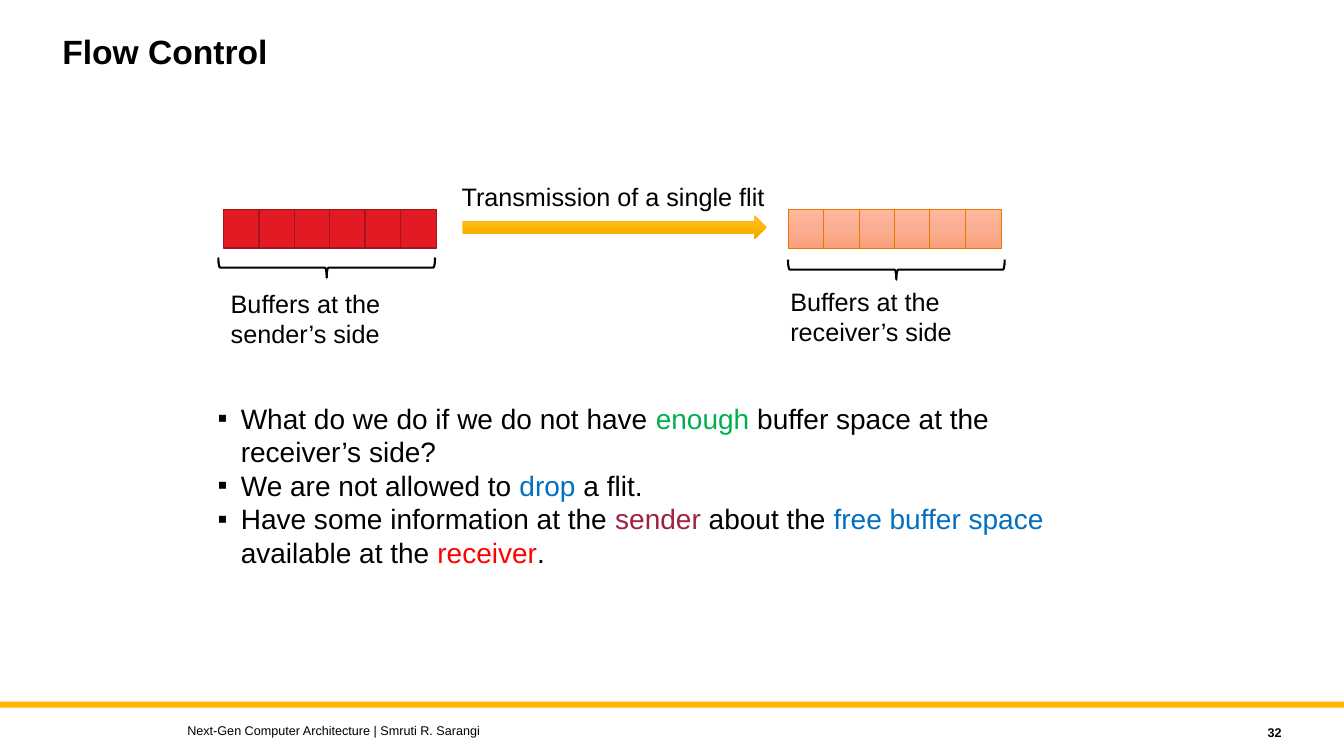
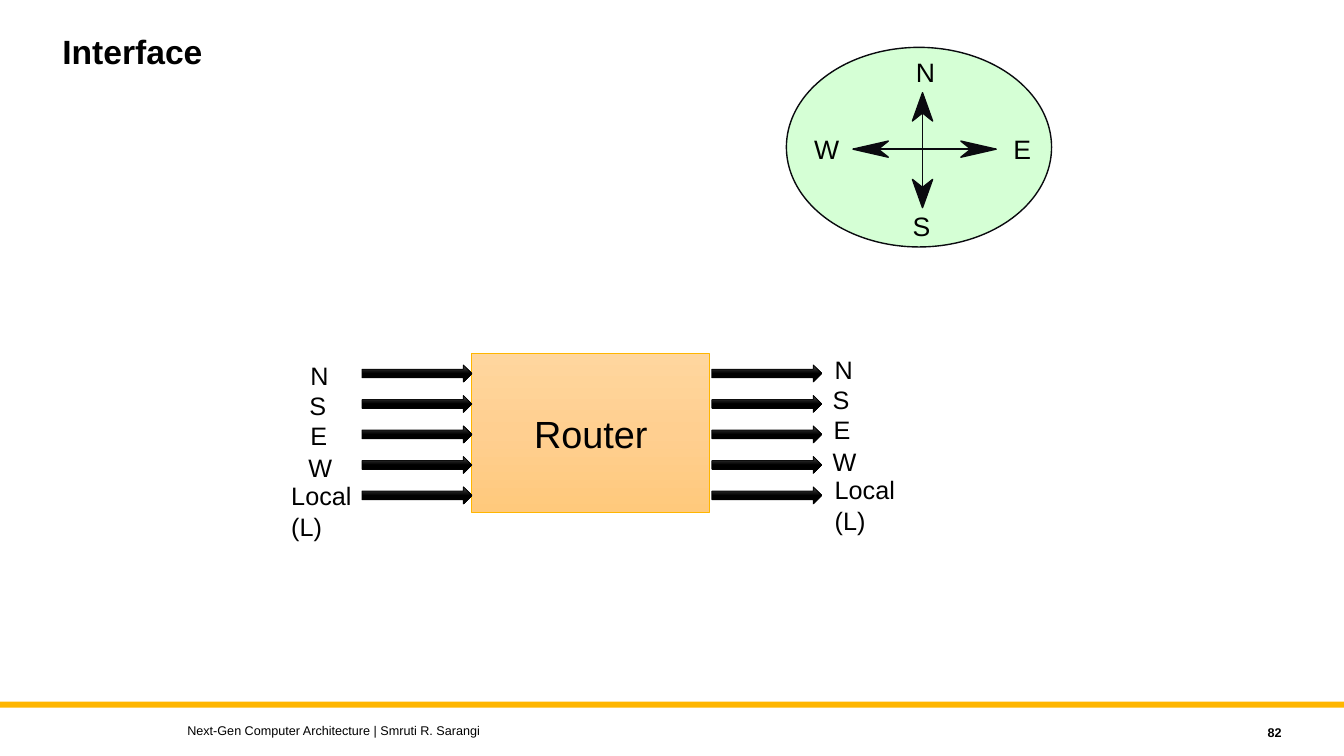
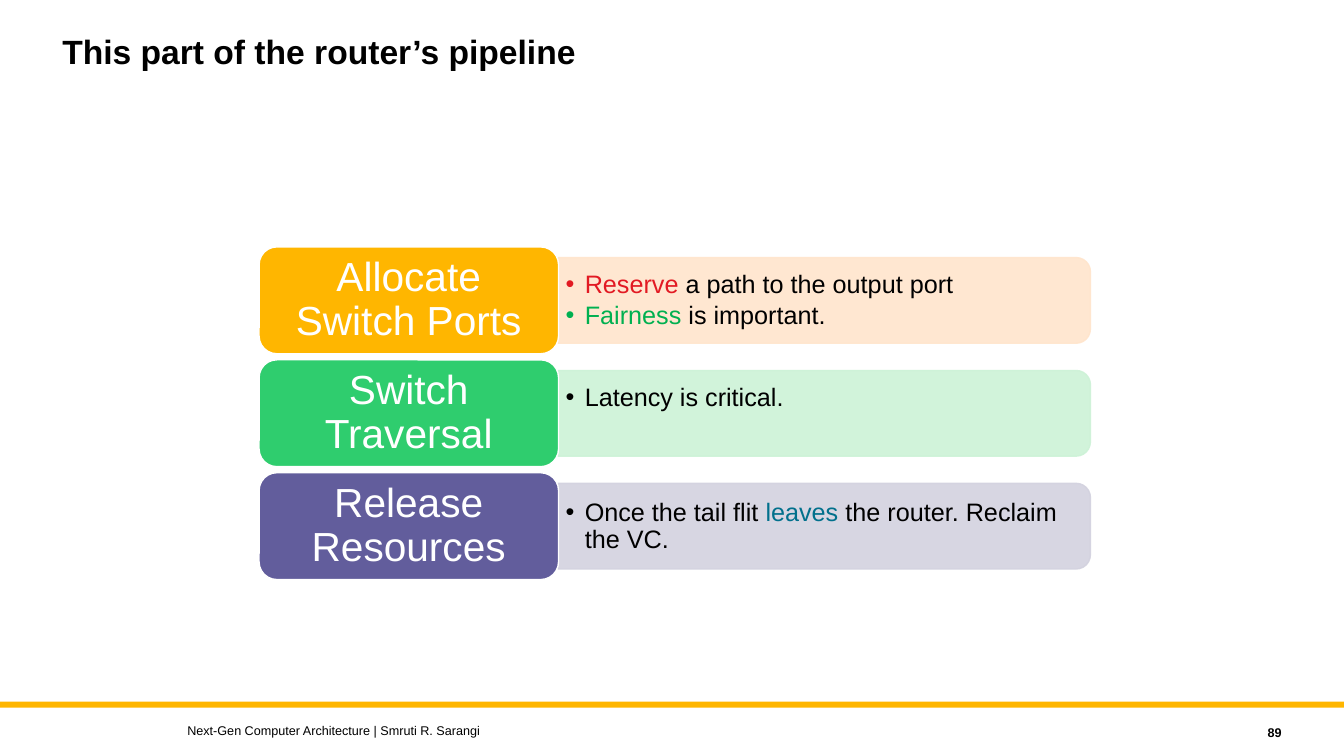
from lxml import etree
from pptx import Presentation
from pptx.dml.color import RGBColor
from pptx.enum.shapes import MSO_CONNECTOR, MSO_SHAPE
from pptx.enum.text import MSO_ANCHOR, PP_ALIGN
from pptx.oxml.ns import qn
from pptx.util import Inches, Pt

RECT, ELLIPSE = MSO_SHAPE.RECTANGLE, MSO_SHAPE.OVAL
ROUND_RECT, ROUND_TOP = MSO_SHAPE.ROUNDED_RECTANGLE, MSO_SHAPE.ROUND_2_SAME_RECTANGLE
ARROW, BRACE = MSO_SHAPE.RIGHT_ARROW, MSO_SHAPE.RIGHT_BRACE
STRAIGHT = MSO_CONNECTOR.STRAIGHT
LEFT, CENTER, RIGHT = PP_ALIGN.LEFT, PP_ALIGN.CENTER, PP_ALIGN.RIGHT
TOP, MIDDLE = MSO_ANCHOR.TOP, MSO_ANCHOR.MIDDLE

FONT = "Arial"
FOOTER = "Next-Gen Computer Architecture | Smruti R. Sarangi"
COLORS = {
    "black": "000000", "white": "FFFFFF", "ink": "0A0A0F", "gold": "FFB600",
    "red": "E21A23", "dark_red": "A7131A", "bright_red": "FF0000",
    "maroon": "9F2241", "green": "00B050", "blue": "0070C0", "teal": "01708C",
    "orange": "EC7700", "mint": "D5FFD5", "emerald": "2FCD6E",
    "purple": "625D9C", "pale_orange": "FFE5CC", "pale_green": "CDF2D7",
    "pale_purple": "D3D2DF",
}
GRADIENTS = {
    "salmon": ("FFB89D", "FAAD90", "F9A17C"),
    "gold": ("FFBD4B", "FFB600", "E3A200"),
    "peach": ("FFD69E", "FFCF90", "FFC97C"),
    "black": ("4B4B4B", "000000", "000000"),
}


def rgb(name):
    return RGBColor.from_string(COLORS[name])


def write_text(tf, paras, size=18, color="black", bold=False, align=LEFT,
               anchor=TOP, inset=(0.1, 0.05), wrap=True, bullet=None,
               indent=0, spacing=None, after=0):
    """Each paragraph is a string or a list of strings and (text, colour) pairs."""
    tf.word_wrap = wrap
    tf.vertical_anchor = anchor
    tf.margin_left = tf.margin_right = Inches(inset[0])
    tf.margin_top = tf.margin_bottom = Inches(inset[1])
    for i, para in enumerate(paras):
        p = tf.add_paragraph() if i else tf.paragraphs[0]
        p.alignment = align
        p.space_after = Pt(after)
        if spacing:
            p.line_spacing = spacing
        if bullet:
            pPr = p._p.get_or_add_pPr()
            pPr.set("marL", str(Inches(indent)))
            pPr.set("indent", str(-Inches(indent)))
            etree.SubElement(pPr, qn("a:buFont")).set("typeface", FONT)
            etree.SubElement(pPr, qn("a:buChar")).set("char", bullet)
        for part in [para] if isinstance(para, str) else para:
            text, name = (part, color) if isinstance(part, str) else part
            r = p.add_run()
            r.text = text
            r.font.name, r.font.size, r.font.bold = FONT, Pt(size), bold
            r.font.color.rgb = rgb(name)


class Deck:
    """Holds the shared style and the current slide."""

    def __init__(self):
        self.prs = Presentation()
        self.prs.slide_width, self.prs.slide_height = Inches(13.33), Inches(7.5)
        self.slide = None

    def new_slide(self, title, number):
        self.slide = self.prs.slides.add_slide(self.prs.slide_layouts[6])
        self.shape(RECT, 0, 6.96, 13.33, 0.06, fill="gold")
        self.text(0.52, 0.3, 10, 0.9, [title], size=24, bold=True, spacing=0.9)
        self.text(11.41, 7.14, 1.4, 0.25, [str(number)], size=9, bold=True,
                  align=RIGHT, anchor=MIDDLE)
        self.text(1.76, 7.12, 8, 0.25, [FOOTER], size=9, anchor=MIDDLE)

    def text(self, x, y, w, h, paras, **fmt):
        sp = self.slide.shapes.add_textbox(Inches(x), Inches(y), Inches(w), Inches(h))
        write_text(sp.text_frame, paras, **fmt)

    def paint(self, sp, fill=None, line=None, width=1.0, gradient=None):
        sp.shadow.inherit = False
        if gradient:
            sp.fill.gradient()
            sp.fill.gradient_angle = 270
            stops = sp._element.spPr.find(".//" + qn("a:gsLst"))
            for gs in list(stops):
                stops.remove(gs)
            for pos, color in zip((0, 50000, 100000), GRADIENTS[gradient]):
                gs = etree.SubElement(stops, qn("a:gs"), pos=str(pos))
                etree.SubElement(gs, qn("a:srgbClr"), val=color)
        elif fill:
            sp.fill.solid()
            sp.fill.fore_color.rgb = rgb(fill)
        else:
            sp.fill.background()
        if line:
            sp.line.color.rgb = rgb(line)
            sp.line.width = Pt(width)
        else:
            sp.line.fill.background()

    def shape(self, kind, x, y, w, h, rotation=0, alpha=None, **look):
        sp = self.slide.shapes.add_shape(kind, Inches(x), Inches(y), Inches(w), Inches(h))
        sp.rotation = rotation
        self.paint(sp, **look)
        if alpha:
            for clr in sp._element.spPr.iter(qn("a:srgbClr")):
                etree.SubElement(clr, qn("a:alpha"), val=str(alpha * 1000))
        return sp

    def line(self, x1, y1, x2, y2, color):
        cn = self.slide.shapes.add_connector(
            STRAIGHT, Inches(x1), Inches(y1), Inches(x2), Inches(y2))
        cn.line.color.rgb = rgb(color)
        cn.line.width = Pt(1)
        etree.SubElement(cn._element.spPr, qn("a:effectLst"))

    def arrowhead(self, x, y, dx, dy, length, half, notch):
        """Notched head with its tip at (x, y), pointing along (dx, dy)."""
        def at(back, side):
            return (Inches(x - dx * back - dy * side),
                    Inches(y - dy * back + dx * side))
        fb = self.slide.shapes.build_freeform(*at(0, 0), scale=1.0)
        fb.add_line_segments([at(length, half), at(notch, 0), at(length, -half)])
        self.paint(fb.convert_to_shape(), fill="ink", line="ink")

    def buffer(self, x, y, **look):
        for i in range(6):
            self.shape(RECT, x + 0.35 * i, y, 0.36, 0.38, **look)

    def brace(self, x, y):
        self.shape(BRACE, x, y, 0.2, 2.15, rotation=90, line="black", width=1.5)

    def port(self, x, y):
        self.shape(ARROW, x, y, 1.09, 0.17, gradient="black", line="black", width=0.5)

    def stage(self, y, name, color, pale, notes, notes_h=0.77):
        self.shape(ROUND_TOP, 7.75, y - 2.11, 0.85, 5.28, rotation=90, alpha=90,
                   fill=pale, line=pale)
        self.text(5.54, y + 0.15, 5.24, notes_h, notes, anchor=MIDDLE,
                  inset=(0.07, 0.04), bullet="•", indent=0.19, spacing=0.9, after=3)
        sp = self.shape(ROUND_RECT, 2.57, y, 2.97, 1.06, fill=color, line="white")
        write_text(sp.text_frame, [name], size=29, color="white", align=CENTER,
                   anchor=MIDDLE, inset=(0.12, 0.06), spacing=0.9)


def flow_control(deck):
    deck.new_slide("Flow Control", 32)

    # Buffers and the flit between them
    deck.buffer(2.22, 2.08, fill="red", line="dark_red")
    deck.buffer(7.82, 2.08, gradient="salmon", line="orange", width=0.5)
    deck.shape(ARROW, 4.59, 2.14, 3.01, 0.23, gradient="gold", line="gold", width=0.5)
    deck.text(4.48, 1.75, 3.24, 0.4, ["Transmission of a single flit"], wrap=False)
    deck.brace(3.14, 1.58)
    deck.brace(8.79, 1.6)
    deck.text(2.19, 2.81, 2.33, 0.71, ["Buffers at the sender’s side"])
    deck.text(7.74, 2.79, 2.33, 0.71, ["Buffers at the receiver’s side"])

    # Questions
    deck.text(2.06, 3.93, 8.59, 1.78, [
        ["What do we do if we do not have ", ("enough", "green"),
         " buffer space at the receiver’s side?"],
        ["We are not allowed to ", ("drop", "blue"), " a flit."],
        ["Have some information at the ", ("sender", "maroon"), " about the ",
         ("free buffer space ", "blue"), "available at the ",
         ("receiver", "bright_red"), "."],
    ], size=20, bullet="▪", indent=0.23)


def interface(deck):
    deck.new_slide("Interface", 82)

    # Compass
    deck.shape(ELLIPSE, 7.8, 0.47, 2.63, 1.98, fill="mint", line="ink")
    deck.line(9.15, 0.92, 9.15, 2.06, "ink")
    deck.line(8.46, 1.48, 9.88, 1.48, "ink")
    for y, dy in ((0.92, -1), (2.06, 1)):
        deck.arrowhead(9.15, y, 0, dy, length=0.28, half=0.1, notch=0.2)
    for x, dx in ((8.46, -1), (9.88, 1)):
        deck.arrowhead(x, 1.48, dx, 0, length=0.35, half=0.08, notch=0.25)
    for letter, x, y in (("N", 9.18, 0.71), ("S", 9.14, 2.24),
                         ("E", 10.14, 1.48), ("W", 8.2, 1.48)):
        deck.text(x - 0.2, y - 0.2, 0.4, 0.4, [letter], size=19, align=CENTER,
                  anchor=MIDDLE, inset=(0, 0))

    # Router
    sp = deck.shape(RECT, 4.68, 3.51, 2.36, 1.57, gradient="peach", line="gold", width=0.5)
    write_text(sp.text_frame, ["Router"], size=27, align=CENTER, anchor=MIDDLE)

    # Ports: label, left of input, left of output, top of input, box size
    ports = [
        (["N"], 2.98, 8.18, 3.53, 0.38, 0.4),
        (["S"], 2.97, 8.16, 3.82, 0.37, 0.4),
        (["E"], 2.98, 8.17, 4.12, 0.37, 0.4),
        (["W"], 2.96, 8.16, 4.44, 0.44, 0.4),
        (["Local", "(L)"], 2.79, 8.18, 4.72, 0.81, 0.71),
    ]
    for i, (label, x_in, x_out, y, w, h) in enumerate(ports):
        arrow_y = 3.62 + 1.21 / 4 * i
        deck.port(3.59, arrow_y)
        deck.port(7.06, arrow_y)
        deck.text(x_in, y, w, h, label, wrap=False)
        deck.text(x_out, y - 0.06, w, h, label, wrap=False)


def pipeline(deck):
    deck.new_slide("This part of the router’s pipeline", 89)
    top, step = 2.45, 1.12
    deck.stage(top, "Allocate Switch Ports", "gold", "pale_orange", [
        [("Reserve", "red"), " a path to the output port"],
        [("Fairness", "green"), " is important."]])
    deck.stage(top + step, "Switch Traversal", "emerald", "pale_green",
               ["Latency is critical."], notes_h=0.46)
    deck.stage(top + 2 * step, "Release Resources", "purple", "pale_purple", [
        ["Once the tail flit ", ("leaves", "teal"), " the router. Reclaim the VC."]])


def main():
    deck = Deck()
    flow_control(deck)
    interface(deck)
    pipeline(deck)
    deck.prs.save("out.pptx")


if __name__ == "__main__":
    main()
